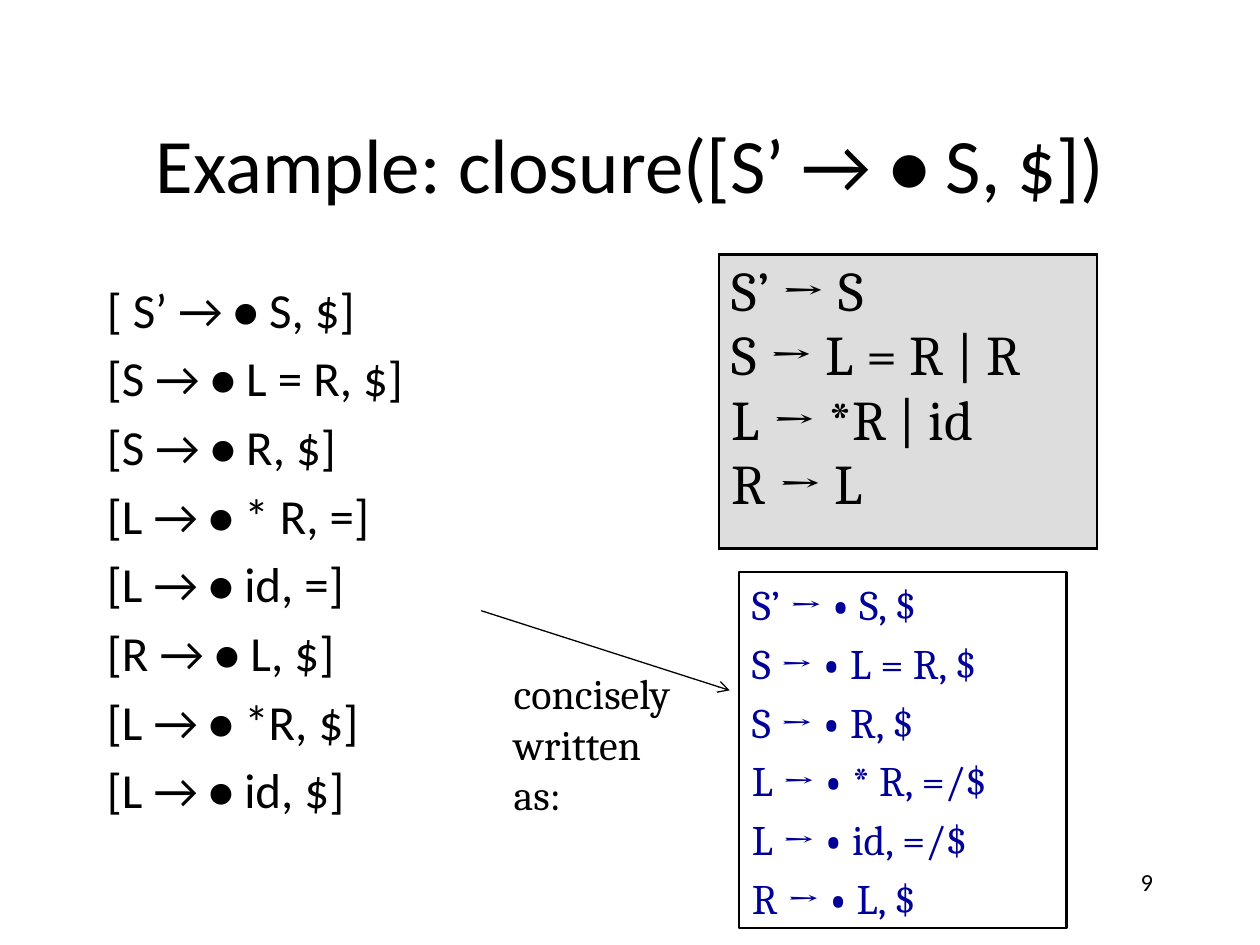
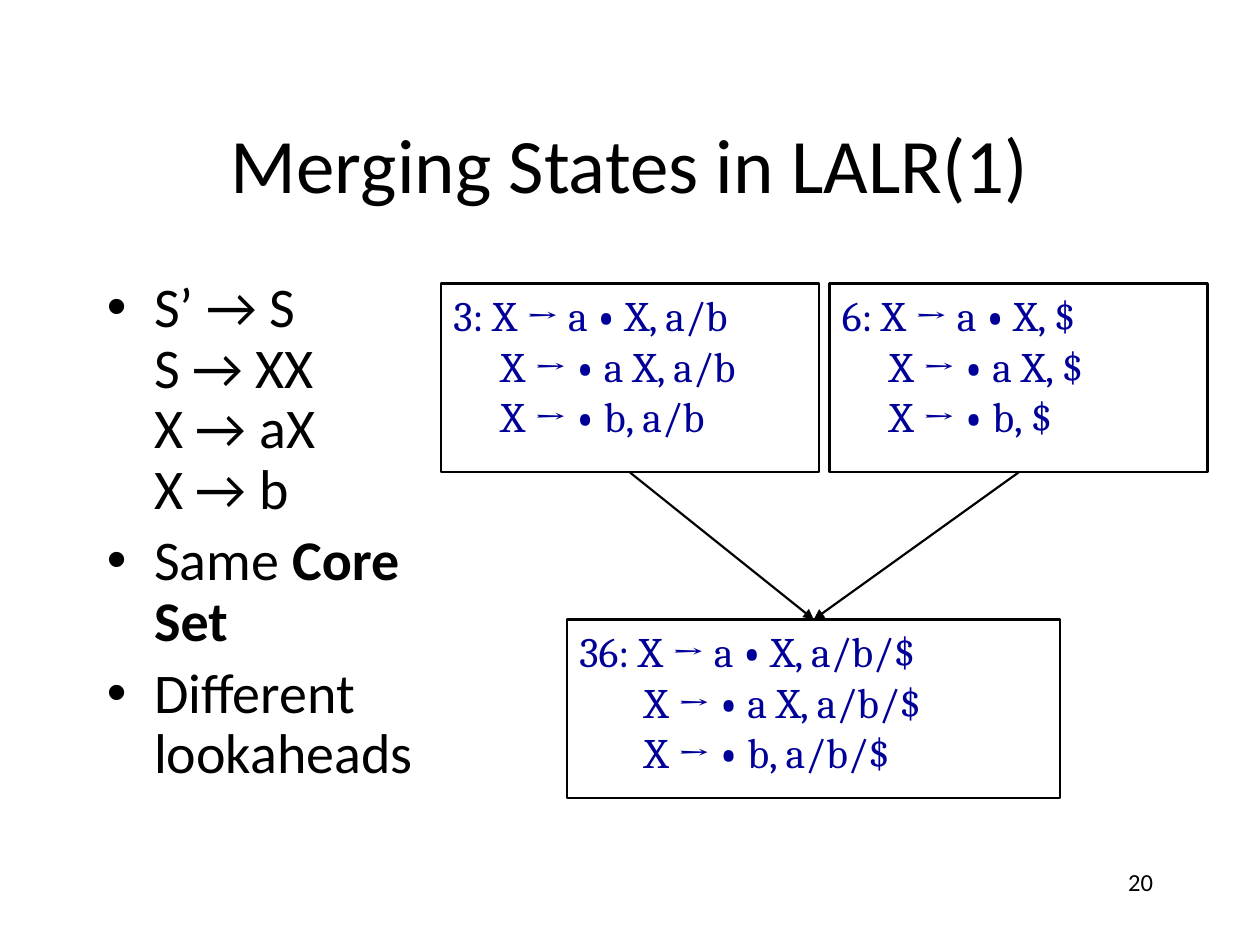
from lxml import etree
from pptx import Presentation
from pptx.dml.color import RGBColor
from pptx.enum import shapes, text
from pptx.oxml import ns
from pptx.util import Pt

BLACK = RGBColor(0x00, 0x00, 0x00)
NAVY = RGBColor(0x00, 0x00, 0x99)
GREY = RGBColor(0xDD, 0xDD, 0xDD)
SANS, SERIF = "Calibri", "Cambria"
BOLD_WORDS = ("•", "Core Set")
HANGING = 27
TITLE_ONLY = 5


def sub_element(parent, tag, **attributes):
    return etree.SubElement(parent, ns.qn(tag), attributes)


class Deck:
    """Holds the shared style, the presentation and the current slide."""

    def __init__(self):
        self.presentation = Presentation()
        self.presentation.slide_width = Pt(720)
        self.presentation.slide_height = Pt(540)
        self.slide = None

    def start_slide(self, title, number):
        layout = self.presentation.slide_layouts[TITLE_ONLY]
        self.slide = self.presentation.slides.add_slide(layout)
        shape = self.slide.shapes.title
        shape.left, shape.top, shape.width, shape.height = map(Pt, (54, 48, 612, 90))
        frame = shape.text_frame
        frame.auto_size = text.MSO_AUTO_SIZE.NONE
        frame.vertical_anchor = text.MSO_ANCHOR.MIDDLE
        self.fill_text(frame, [title], 44, SANS, align=text.PP_ALIGN.CENTER)
        self.text_box((516, 492, 150, 36), [number], 14, SANS,
                      align=text.PP_ALIGN.RIGHT)

    def add_runs(self, paragraph, line, size, font, color):
        """Add one run per style; bold words get runs of their own."""
        for word in BOLD_WORDS:
            line = line.replace(word, f"~{word}~")
        for index, part in enumerate(line.split("~")):
            if part:
                run = paragraph.add_run()
                run.text = part
                run.font.name, run.font.size = font, Pt(size)
                run.font.bold = index % 2 == 1
                run.font.color.rgb = color

    def fill_text(self, frame, paragraphs, size, font, color=BLACK,
                  align=text.PP_ALIGN.LEFT, hanging=0, spacing=None, bullet=None):
        frame.word_wrap = True
        for index, content in enumerate(paragraphs):
            paragraph = frame.add_paragraph() if index else frame.paragraphs[0]
            paragraph.alignment = align
            paragraph.line_spacing = spacing
            paragraph.space_before = Pt(0.2 * size if index else 0)
            properties = paragraph._p.get_or_add_pPr()
            if hanging:
                properties.set("marL", str(Pt(hanging)))
                properties.set("indent", str(Pt(-hanging)))
            if bullet:
                sub_element(properties, "a:buFont", typeface="Arial")
                sub_element(properties, "a:buChar", char=bullet)
            for row, line in enumerate(content.split("\n")):
                if row:
                    paragraph.add_line_break()
                self.add_runs(paragraph, line, size, font, color)

    def text_box(self, place, paragraphs, size, font, **style):
        box = self.slide.shapes.add_textbox(*map(Pt, place))
        self.fill_text(box.text_frame, paragraphs, size, font, **style)
        return box

    def item_box(self, place, paragraphs, hanging=HANGING):
        """Draw an outlined rectangle holding a set of parser items."""
        box = self.slide.shapes.add_shape(shapes.MSO_SHAPE.RECTANGLE, *map(Pt, place))
        box.shadow.inherit = False
        box.fill.background()
        box.line.color.rgb, box.line.width = BLACK, Pt(1.25)
        box.text_frame.vertical_anchor = text.MSO_ANCHOR.TOP
        self.fill_text(box.text_frame, paragraphs, 24, SERIF, NAVY, hanging=hanging)
        return box

    def grammar_table(self, place, grammar):
        table = self.slide.shapes.add_table(1, 1, *map(Pt, place)).table
        cell = table.cell(0, 0)
        self.fill_text(cell.text_frame, [grammar], 32, SERIF)
        properties = cell._tc.get_or_add_tcPr()
        for side in ("a:lnL", "a:lnR", "a:lnT", "a:lnB"):
            border = sub_element(properties, side, w=str(Pt(1.5)))
            fill = sub_element(border, "a:solidFill")
            sub_element(fill, "a:srgbClr", val=str(BLACK))
        cell.fill.solid()
        cell.fill.fore_color.rgb = GREY

    def arrow(self, start, end, width, head):
        connector = self.slide.shapes.add_connector(
            shapes.MSO_CONNECTOR.STRAIGHT, *map(Pt, (*start, *end)))
        connector.line.color.rgb, connector.line.width = BLACK, Pt(width)
        sub_element(connector.line._get_or_add_ln(), "a:tailEnd", type=head)
        sub_element(connector._element.spPr, "a:effectLst")
        return connector

    def join(self, upper, lower):
        """Point an arrow from the bottom of one box to the top of another."""
        connector = self.arrow((0, 0), (0, 0), 1.25, "triangle")
        connector.begin_connect(upper, 2)
        connector.end_connect(lower, 0)


def closure_slide(deck):
    deck.start_slide("Example: closure([S’ → • S, $])", "9")
    closure = ["[ S’ → • S, $]", "[S → • L = R, $]", "[S → • R, $]",
               "[L → • * R, =]", "[L → • id, =]", "[R → • L, $]",
               "[L → • *R, $]", "[L → • id, $]"]
    deck.text_box((54, 156, 312, 336), closure, 28, SANS, hanging=HANGING)
    deck.grammar_table((411, 145.5, 216, 168),
                       "S’ → S\nS → L = R | R\nL → *R | id\nR → L")
    deck.item_box((422.5, 327, 187, 203.5),
                  ["S’ → • S, $", "S → • L = R, $", "S → • R, $",
                   "L → • * R, =/$", "L → • id, =/$", "R → • L, $"])
    deck.arrow((275, 349), (417, 394.5), 0.75, "arrow")
    note = deck.text_box((286.5, 378, 119, 65.5), ["concisely written as:"], 24, SERIF)
    note.text_frame.auto_size = text.MSO_AUTO_SIZE.SHAPE_TO_FIT_TEXT


def merging_slide(deck):
    deck.start_slide("Merging States in LALR(1)", "20")
    deck.text_box((54, 156, 216, 318),
                  ["S’ → S\nS → XX\nX → aX\nX → b", "Same Core Set",
                   "Different\nlookaheads"],
                  32, SANS, hanging=HANGING, spacing=0.9, bullet="•")

    def state(place, name, lookahead, hanging=HANGING):
        items = "\n".join(f"{item}, {lookahead}"
                          for item in (f"{name}: X → a • X", "X → • a X", "X → • b"))
        return deck.item_box(place, [items], hanging)

    sources = [state((474, 162, 216, 108), "6", "$"),
               state((252, 162, 216, 108), "3", "a/b")]
    merged = state((324, 354, 282, 102), "36", "a/b/$", hanging=37)
    for source in reversed(sources):
        deck.join(source, merged)


def main():
    deck = Deck()
    closure_slide(deck)
    merging_slide(deck)
    deck.presentation.save("out.pptx")


if __name__ == "__main__":
    main()
